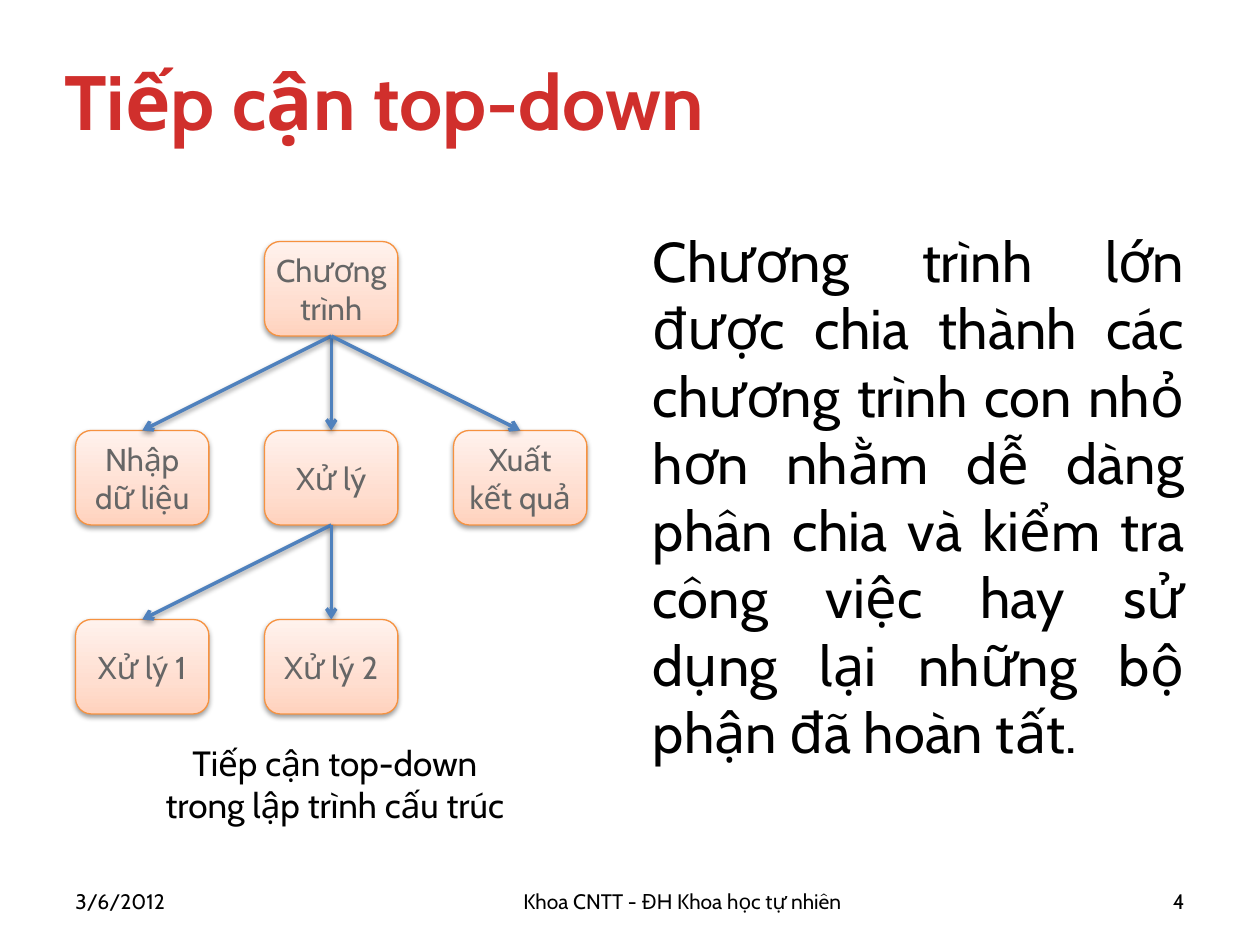
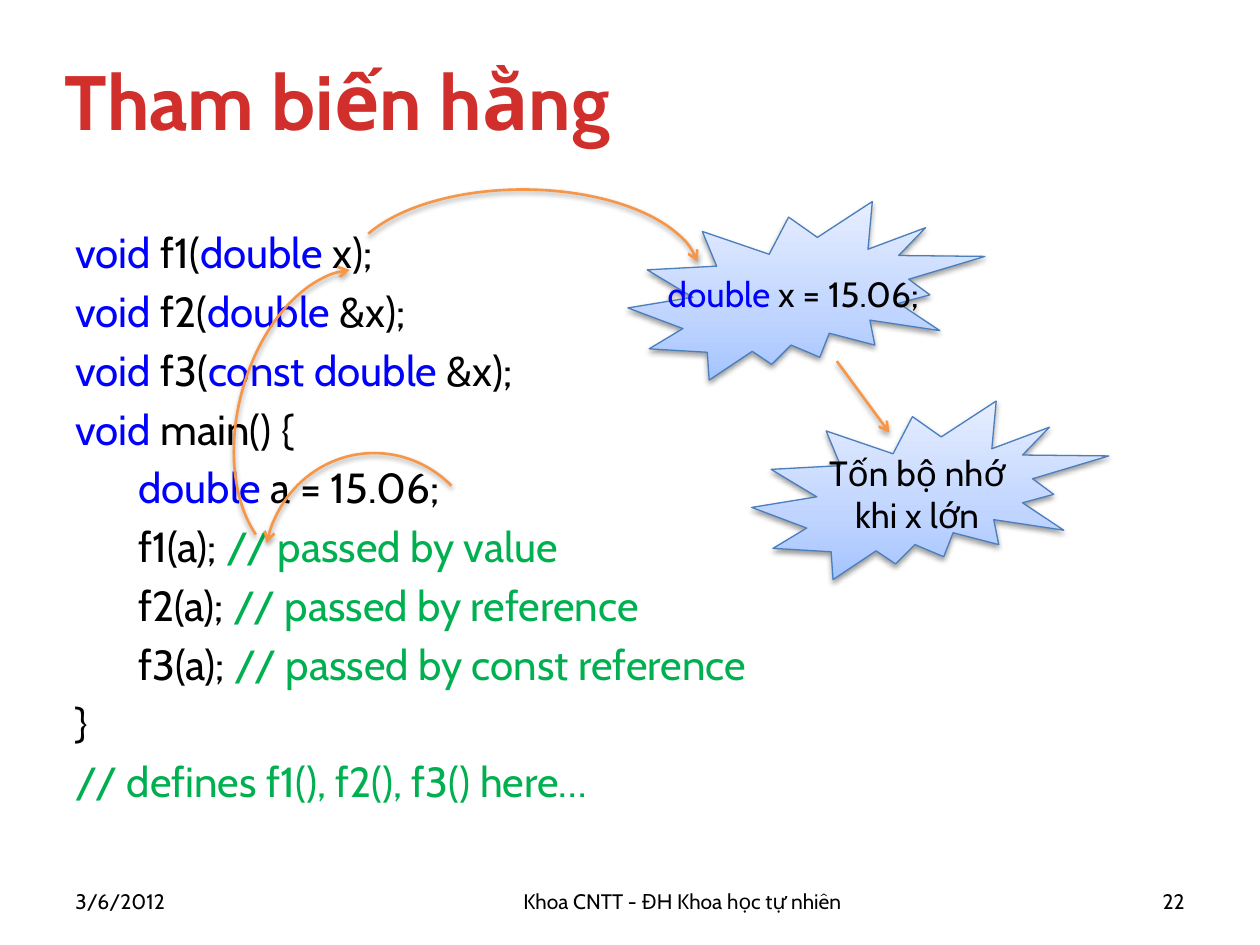
from dataclasses import dataclass

from lxml import etree
from pptx import Presentation
from pptx import util as u
from pptx.dml.color import RGBColor
from pptx.enum import shapes, text
from pptx.oxml.ns import qn

COLUMNS, ROWS = 120, 90
UNIT = u.Inches(10) / COLUMNS
FONT = "Cabin"
BLACK, GREY, KEYWORD, COMMENT = "000000", "666666", "0000FF", "00B050"
BLUE, ORANGE, NODE_EDGE, BURST_EDGE = "4F81BD", "F79646", "F69240", "4B7EBC"
TITLE_STOPS = ((0, "FC7C7A"), (75, "D02F2C"), (100, "C70500"))
NODE_STOPS = ((0, "FFD2BD"), (35, "FFDED0"), (100, "FFF2ED"))
BURST_STOPS = ((0, "A4C4FF"), (35, "BFD4FF"), (100, "E6EEFF"))
LEFT, CENTER, RIGHT, JUSTIFY = (
    text.PP_ALIGN.LEFT, text.PP_ALIGN.CENTER, text.PP_ALIGN.RIGHT, text.PP_ALIGN.JUSTIFY)


@dataclass
class Box:
    """A rectangle in grid columns and rows."""
    left: float
    top: float
    width: float
    height: float

    def inner(self, left, top, width, height):
        return Box(self.left + left, self.top + top, width, height)

    def point(self, column, row):
        return round((self.left + column) * UNIT), round((self.top + row) * UNIT)

    def lengths(self):
        return [round(side * UNIT) for side in (self.left, self.top, self.width, self.height)]


PAGE = Box(0, 0, COLUMNS, ROWS)
TITLE = Box(5, 2, 113, 15)
FOOTER = Box(6, 83.4, 108, 4.8)


def color(value):
    return RGBColor.from_string(value)


def paint_gradient(fill, properties, stops, angle):
    """Fill with any number of (percent, colour) stops; properties is the element that holds the fill."""
    fill.gradient()
    fill.gradient_angle = angle
    stop_list = properties.find(qn("a:gradFill")).find(qn("a:gsLst"))
    for old_stop in list(stop_list):
        stop_list.remove(old_stop)
    for percent, value in stops:
        stop = etree.SubElement(stop_list, qn("a:gs"), pos=str(percent * 1000))
        etree.SubElement(stop, qn("a:srgbClr"), val=value)


def add_shadow(shape, opacity=38, distance=1.6):
    properties = shape.element.spPr
    effects = properties.find(qn("a:effectLst"))
    if effects is None:
        effects = etree.SubElement(properties, qn("a:effectLst"))
    shadow = etree.SubElement(
        effects, qn("a:outerShdw"), blurRad=str(u.Pt(3.1)), dist=str(u.Pt(distance)),
        dir="5400000", rotWithShape="0")
    shade = etree.SubElement(shadow, qn("a:srgbClr"), val=BLACK)
    etree.SubElement(shade, qn("a:alpha"), val=str(opacity * 1000))


def style_arrow(shape, value, width):
    shape.line.color.rgb = color(value)
    shape.line.width = u.Pt(width)
    etree.SubElement(shape.element.spPr.find(qn("a:ln")), qn("a:tailEnd"), type="arrow")


def write(shape, lines, size, ink=BLACK, align=LEFT, middle=False, wrap=True, before=0):
    """Write one paragraph a line; a line is a string or a list of (string, colour)."""
    frame = shape.text_frame
    frame.word_wrap = wrap
    frame.vertical_anchor = text.MSO_ANCHOR.MIDDLE if middle else text.MSO_ANCHOR.TOP
    for index, line in enumerate(lines):
        paragraph = frame.add_paragraph() if index else frame.paragraphs[0]
        paragraph.alignment = align
        paragraph.space_before = u.Pt(before)
        for words, value in [(line, ink)] if isinstance(line, str) else line:
            run = paragraph.add_run()
            run.text = words
            run.font.name = FONT
            run.font.size = u.Pt(size)
            run.font.color.rgb = color(value)


def add_text(slide, box, lines, size, **options):
    shape = slide.shapes.add_textbox(*box.lengths())
    write(shape, lines, size, **options)
    return shape


def add_glossy_shape(slide, kind, box, stops, edge, lines, size, ink):
    shape = slide.shapes.add_shape(kind, *box.lengths())
    paint_gradient(shape.fill, shape.element.spPr, stops, 90)
    shape.line.color.rgb = color(edge)
    shape.line.width = u.Pt(0.75)
    shape.shadow.inherit = False
    add_shadow(shape)
    write(shape, lines, size, ink=ink, align=CENTER, middle=True, wrap=False)
    return shape


def add_arrow(slide, start, end, value, width):
    arrow = slide.shapes.add_connector(shapes.MSO_CONNECTOR.STRAIGHT, *start, *end)
    style_arrow(arrow, value, width)
    return arrow


def add_arc(slide, box, rotation, flips, angles):
    arc = slide.shapes.add_shape(shapes.MSO_SHAPE.ARC, *box.lengths())
    arc.rotation = rotation
    for flip in flips:
        arc.element.spPr.xfrm.set(flip, "1")
    arc.adjustments[0], arc.adjustments[1] = angles
    arc.fill.background()
    style_arrow(arc, ORANGE, 1.5)
    arc.shadow.inherit = False
    add_shadow(arc, 35, 1.8)


def add_page(presentation, title, number):
    """Add a blank slide with the shared title and footer."""
    slide = presentation.slides.add_slide(presentation.slide_layouts[6])
    heading = add_text(slide, TITLE, [title], 44, middle=True)
    run = heading.text_frame.paragraphs[0].runs[0]
    run.font.bold = True
    paint_gradient(run.font.fill, run.font.fill and heading.element.find(".//" + qn("a:rPr")),
                   TITLE_STOPS, 270)
    footers = (
        (0, 13, LEFT, "3/6/2012"),
        (19, 80, CENTER, "Khoa CNTT - ĐH Khoa học tự nhiên"),
        (101, 7, RIGHT, str(number)),
    )
    for left, width, align, words in footers:
        add_text(slide, FOOTER.inner(left, 0, width, FOOTER.height), [words], 12,
                 align=align, middle=True)
    return slide


def add_program_tree(slide, box):
    pitch = 18
    nodes = {
        "program": (1, 0, ["Chương", "trình"]),
        "input": (0, 1, ["Nhập", "dữ liệu"]),
        "process": (1, 1, ["Xử lý"]),
        "output": (2, 1, ["Xuất", "kết quả"]),
        "process 1": (0, 2, ["Xử lý 1"]),
        "process 2": (1, 2, ["Xử lý 2"]),
    }
    branches = {"program": ("input", "process", "output"),
                "process": ("process 1", "process 2")}
    placed = {
        name: add_glossy_shape(
            slide, shapes.MSO_SHAPE.ROUNDED_RECTANGLE,
            box.inner(column * pitch, row * pitch, 12.7, 9),
            NODE_STOPS, NODE_EDGE, lines, 18, GREY)
        for name, (column, row, lines) in nodes.items()
    }
    for parent, children in branches.items():
        for child in children:
            arrow = add_arrow(slide, (0, 0), (0, 0), BLUE, 2)
            arrow.begin_connect(placed[parent], 2)
            arrow.end_connect(placed[child], 0)
            add_shadow(arrow)
    add_text(slide, box.inner(5.8, 47, 37.8, 9.2),
             ["Tiếp cận top-down", "trong lập trình cấu trúc"], 20, align=CENTER, wrap=False)


def add_code(slide, box):
    calls = (("f1", "value"), ("f2", "reference"), ("f3", "const reference"))
    lines = [
        [("void", KEYWORD), (" f1(", BLACK), ("double", KEYWORD), (" x);", BLACK)],
        [("void ", KEYWORD), ("f2(", BLACK), ("double", KEYWORD), (" &x);", BLACK)],
        [("void ", KEYWORD), ("f3(", BLACK), ("const double", KEYWORD), (" &x);", BLACK)],
        [("void ", KEYWORD), ("main() {", BLACK)],
        [("\t", BLACK), ("double", KEYWORD), (" a = 15.06;", BLACK)],
        *[[(f"\t{name}(a); ", BLACK), (f"// passed by {way}", COMMENT)] for name, way in calls],
        "}",
        [("// defines f1(), f2(), f3() here…", COMMENT)],
    ]
    add_text(slide, box, lines, 24, before=4.8)


def add_value_flow(slide, box):
    """Arrows that follow the value through the code, and the bursts that comment on it."""
    both = ("flipH", "flipV")
    add_arc(slide, box.inner(22.7, 25.4, 18.2, 28.8), 14.6, both, (173.49, 48.92))
    add_arc(slide, box.inner(41.6, 9.4, 16.4, 33.7), 90, both, (171.09, 51.26))
    bursts = (
        (59.8, 19.2, [[("double", KEYWORD), (" x = 15.06;", BLACK)]]),
        (71.6, 38.2, ["Tốn bộ nhớ", "khi x lớn"]),
    )
    for left, top, lines in bursts:
        add_glossy_shape(slide, shapes.MSO_SHAPE.EXPLOSION2, box.inner(left, top, 34, 17),
                         BURST_STOPS, BURST_EDGE, lines, 20, BLACK)
    add_arc(slide, box.inner(24.7, 43.6, 22, 21.1), 85.4, ("flipH",), (187.62, 43.25))
    arrow = add_arrow(slide, box.point(79.7, 34.4), box.point(84.7, 41.2), ORANGE, 1.5)
    add_shadow(arrow, 35, 1.8)


def build_top_down(presentation):
    slide = add_page(presentation, "Tiếp cận top-down", 4)
    add_text(slide, PAGE.inner(61, 21, 53, 59.4), [
        "Chương trình lớn được chia thành các chương trình con nhỏ hơn nhằm dễ dàng "
        "phân chia và kiểm tra công việc hay sử dụng lại những bộ phận đã hoàn tất."],
        32, align=JUSTIFY, before=6.4)
    add_program_tree(slide, PAGE.inner(7.2, 23, 48.7, 56.2))


def build_const_reference(presentation):
    slide = add_page(presentation, "Tham biến hằng", 22)
    add_code(slide, PAGE.inner(6, 21, 108, 59.4))
    add_value_flow(slide, PAGE)


def main():
    presentation = Presentation()
    presentation.slide_width = round(COLUMNS * UNIT)
    presentation.slide_height = round(ROWS * UNIT)
    build_top_down(presentation)
    build_const_reference(presentation)
    presentation.save("out.pptx")


if __name__ == "__main__":
    main()
